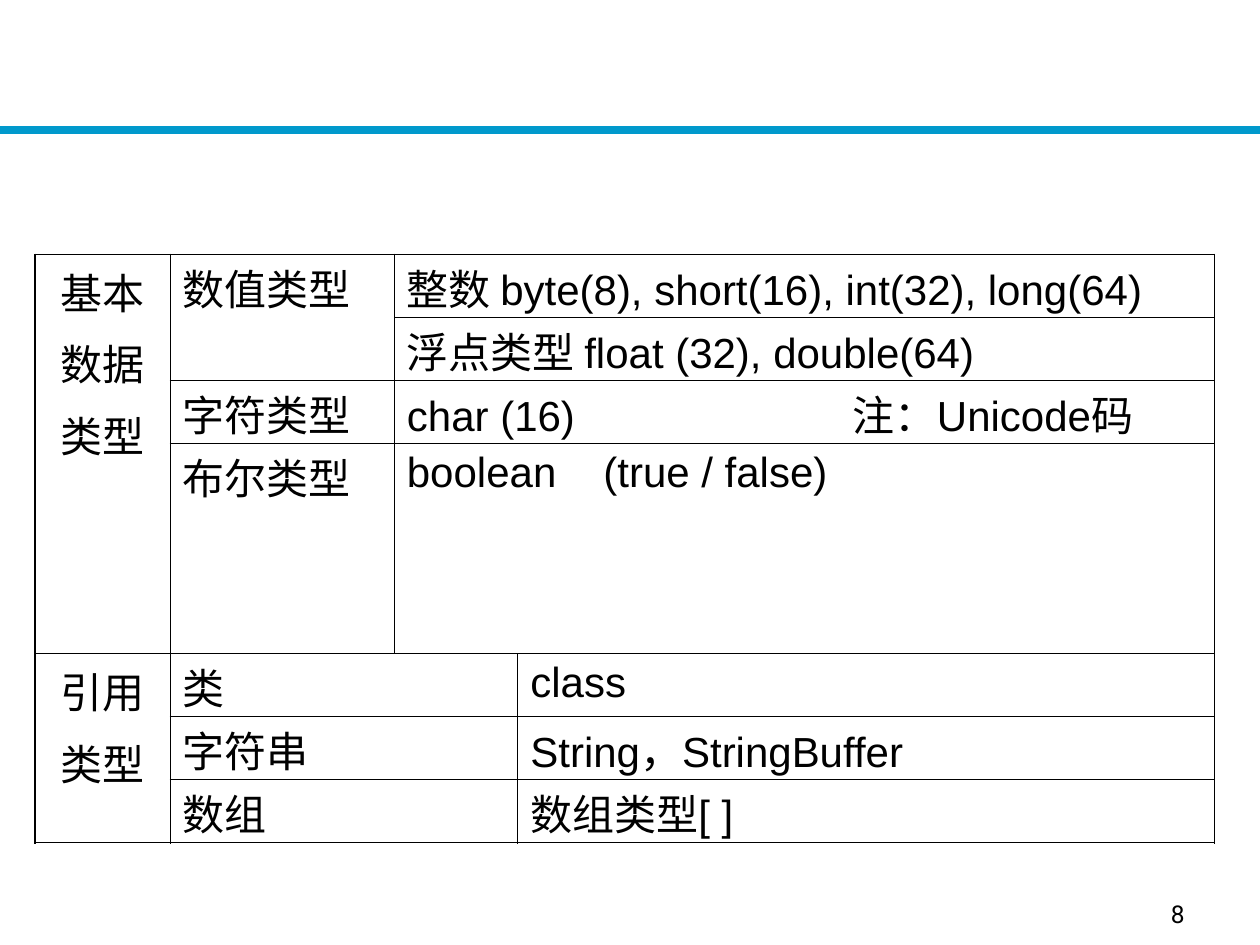
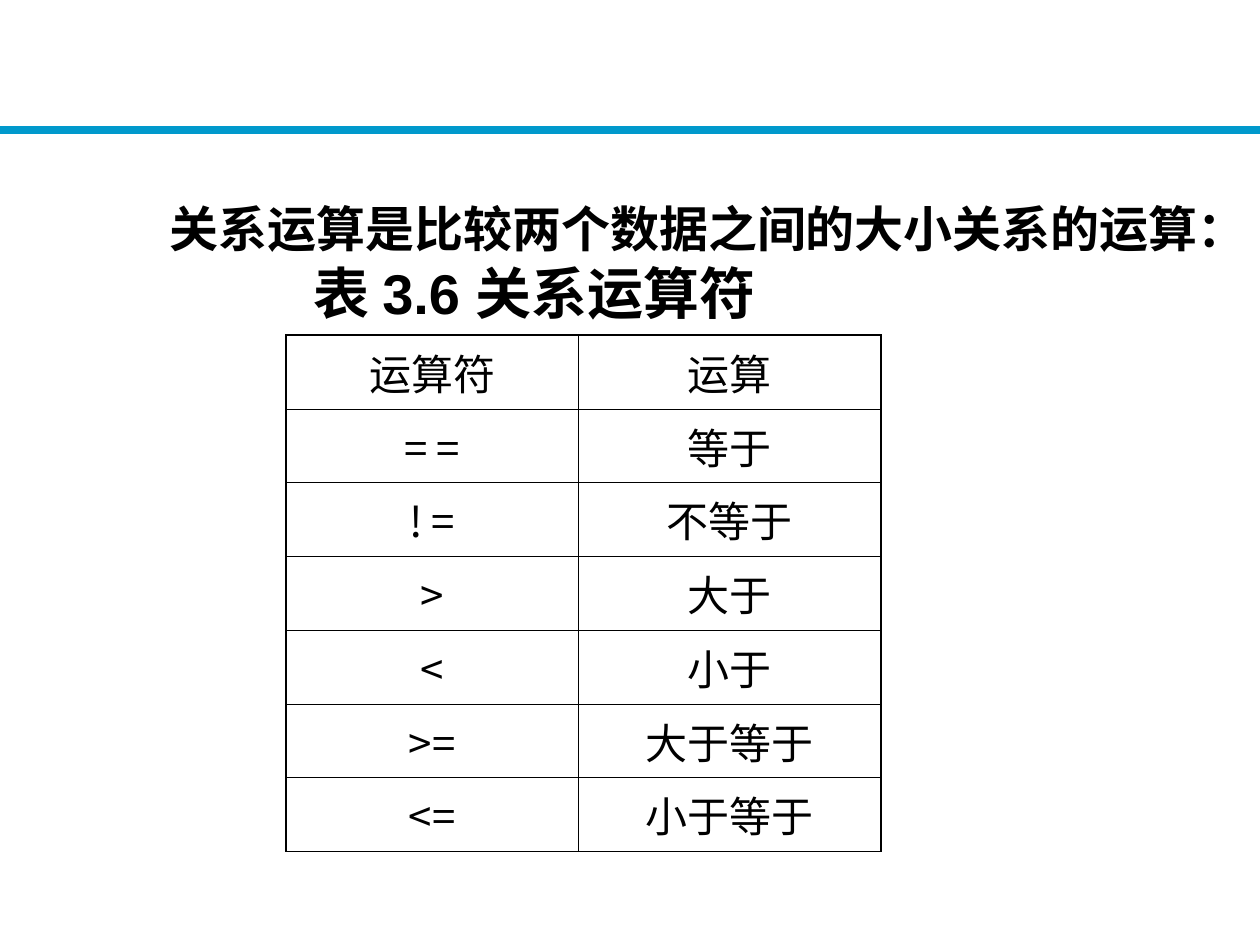
from lxml import etree
from pptx import Presentation
from pptx.dml.color import RGBColor
from pptx.enum.shapes import MSO_CONNECTOR
from pptx.enum.text import MSO_ANCHOR, PP_ALIGN
from pptx.oxml.ns import qn
from pptx.util import Inches, Pt

LEFT, CENTER, RIGHT = PP_ALIGN.LEFT, PP_ALIGN.CENTER, PP_ALIGN.RIGHT
JUSTIFY = PP_ALIGN.JUSTIFY
TOP, MIDDLE, BOTTOM = MSO_ANCHOR.TOP, MSO_ANCHOR.MIDDLE, MSO_ANCHOR.BOTTOM
STRAIGHT = MSO_CONNECTOR.STRAIGHT

COLORS = {"text": "000000", "band": "0099CC", "border": "000000"}
W, H = Inches(10), Inches(7.5)
GRID_COLS, GRID_ROWS = 10, 7.5
OUTER, INNER = Pt(1.08), Pt(0.45)

TYPE_CELLS = {
    (0, 0): "基本\n数据\n类型",
    (0, 1): "数值类型",
    (0, 2): "整数 byte(8), short(16), int(32), long(64)",
    (1, 2): "浮点类型 float (32), double(64)",
    (2, 1): "字符类型",
    (2, 2): "char (16)\t注：Unicode码",
    (3, 1): "布尔类型",
    (3, 2): "boolean\t(true / false)",
    (4, 0): "引用\n类型",
    (4, 1): "类",
    (4, 3): "class",
    (5, 1): "字符串",
    (5, 3): "String，StringBuffer",
    (6, 1): "数组",
    (6, 3): "数组类型[ ]",
}
TYPE_SPANS = {(0, 0): (4, 1), (0, 1): (2, 1), (4, 0): (3, 1)}
TYPE_SPANS.update({(r, 2): (1, 2) for r in range(4)})
TYPE_SPANS.update({(r, 1): (1, 2) for r in range(4, 7)})
TYPE_TABS = {(2, 2): 3.54, (3, 2): 1.56}

OPERATORS = [
    ("运算符", "运算"),
    ("= =", "等于"),
    ("! =", "不等于"),
    (">", "大于"),
    ("<", "小于"),
    (">=", "大于等于"),
    ("<=", "小于等于"),
]


def col(n):
    return int(W * n / GRID_COLS)


def row(n):
    return int(H * n / GRID_ROWS)


def style(p, size, font="Arial", align=LEFT, bold=False):
    p.alignment = align
    p.font.size = Pt(size)
    p.font.name = font
    p.font.bold = bold
    p.font.color.rgb = RGBColor.from_string(COLORS["text"])


def add_tab(p, position):
    tabs = etree.SubElement(p._p.get_or_add_pPr(), qn("a:tabLst"))
    etree.SubElement(tabs, qn("a:tab"), pos=str(col(position)), algn="l")


def add_slide(prs):
    slide = prs.slides.add_slide(prs.slide_layouts[6])
    band = slide.shapes.add_connector(STRAIGHT, 0, row(1.03), W, row(1.03))
    band.line.color.rgb = RGBColor.from_string(COLORS["band"])
    band.line.width = Pt(4.5)
    etree.SubElement(band._element.spPr, qn("a:effectLst"))
    return slide


def add_text(slide, x, y, w, h, anchor=TOP):
    sp = slide.shapes.add_textbox(col(x), row(y), col(w), row(h))
    tf = sp.text_frame
    tf.word_wrap = True
    tf.vertical_anchor = anchor
    return tf


def add_page_number(slide, number):
    tf = add_text(slide, 7.42, 6.92, 2.08, 0.5, BOTTOM)
    tf.text = str(number)
    style(tf.paragraphs[0], 14, "Roboto", RIGHT)


def add_heading(slide, lines):
    tf = add_text(slide, 0.98, 1.62, 9.02, 1.02)
    tf.margin_right = 0
    for i, (text, size, indent) in enumerate(lines):
        p = tf.paragraphs[0] if i == 0 else tf.add_paragraph()
        p.text = text
        p.line_spacing = 0.8
        if i:
            p.space_before = Pt(8)
        p._p.get_or_add_pPr().set("marL", str(col(indent)))
        style(p, size, align=JUSTIFY, bold=True)


def add_borders(cell, edges):
    tcPr = cell._tc.get_or_add_tcPr()
    for side, width in edges:
        ln = etree.SubElement(tcPr, qn(f"a:ln{side}"), w=str(width))
        fill = etree.SubElement(ln, qn("a:solidFill"))
        etree.SubElement(fill, qn("a:srgbClr"), val=COLORS["border"])


def edge_width(at_rim):
    return OUTER if at_rim else INNER


def add_table(slide, x, y, widths, heights, spans):
    rows, cols = len(heights), len(widths)
    frame = slide.shapes.add_table(
        rows, cols, col(x), row(y), col(sum(widths)), row(sum(heights)))
    table = frame.table
    table.first_row = table.horz_banding = False
    for c, width in enumerate(widths):
        table.columns[c].width = col(width)
    for r, height in enumerate(heights):
        table.rows[r].height = row(height)
    region = {(r, c): (r, c, r + 1, c + 1)
              for r in range(rows) for c in range(cols)}
    for (r, c), (down, across) in spans.items():
        table.cell(r, c).merge(table.cell(r + down - 1, c + across - 1))
        for i in range(r, r + down):
            for j in range(c, c + across):
                region[i, j] = (r, c, r + down, c + across)
    for (r, c), (top, left, bottom, right) in region.items():
        cell = table.cell(r, c)
        rims = (left == 0, right == cols, top == 0, bottom == rows)
        add_borders(cell, zip("LRTB", map(edge_width, rims)))
        cell.fill.background()
    return table


def fill_cell(cell, text, font, align, anchor=TOP, tab=None, spacing=None):
    cell.text = text
    cell.vertical_anchor = anchor
    for i, p in enumerate(cell.text_frame.paragraphs):
        if spacing:
            p.line_spacing = spacing
        if i:
            p.space_before = Pt(6)
        if tab:
            add_tab(p, tab)
        style(p, 24, font, align)


def build_types(prs):
    slide = add_slide(prs)
    heights = [0.5] * 3 + [1.47] + [0.5] * 3
    table = add_table(slide, 0.28, 2.02, [1.07, 1.78, 0.98, 5.53],
                      heights, TYPE_SPANS)
    for (r, c), text in TYPE_CELLS.items():
        cell = table.cell(r, c)
        tight = c > 0 and not text.isascii()
        fill_cell(cell, text, "Arial", LEFT if c else CENTER,
                  tab=TYPE_TABS.get((r, c)), spacing=0.92 if tight else None)
        cell.margin_bottom = 0
    add_page_number(slide, 8)


def build_operators(prs):
    slide = add_slide(prs)
    add_heading(slide, [
        ("关系运算是比较两个数据之间的大小关系的运算：", 28, 0.27),
        ("表 3.6 关系运算符", 32, 1.41),
    ])
    table = add_table(slide, 2.27, 2.66, [2.32, 2.4],
                      [4.1 / len(OPERATORS)] * len(OPERATORS), {})
    for r, texts in enumerate(OPERATORS):
        for c, text in enumerate(texts):
            fill_cell(table.cell(r, c), text, "Noto Sans CJK SC", CENTER, MIDDLE)


def main():
    prs = Presentation()
    prs.slide_width, prs.slide_height = W, H
    build_types(prs)
    build_operators(prs)
    prs.save("out.pptx")


if __name__ == "__main__":
    main()
